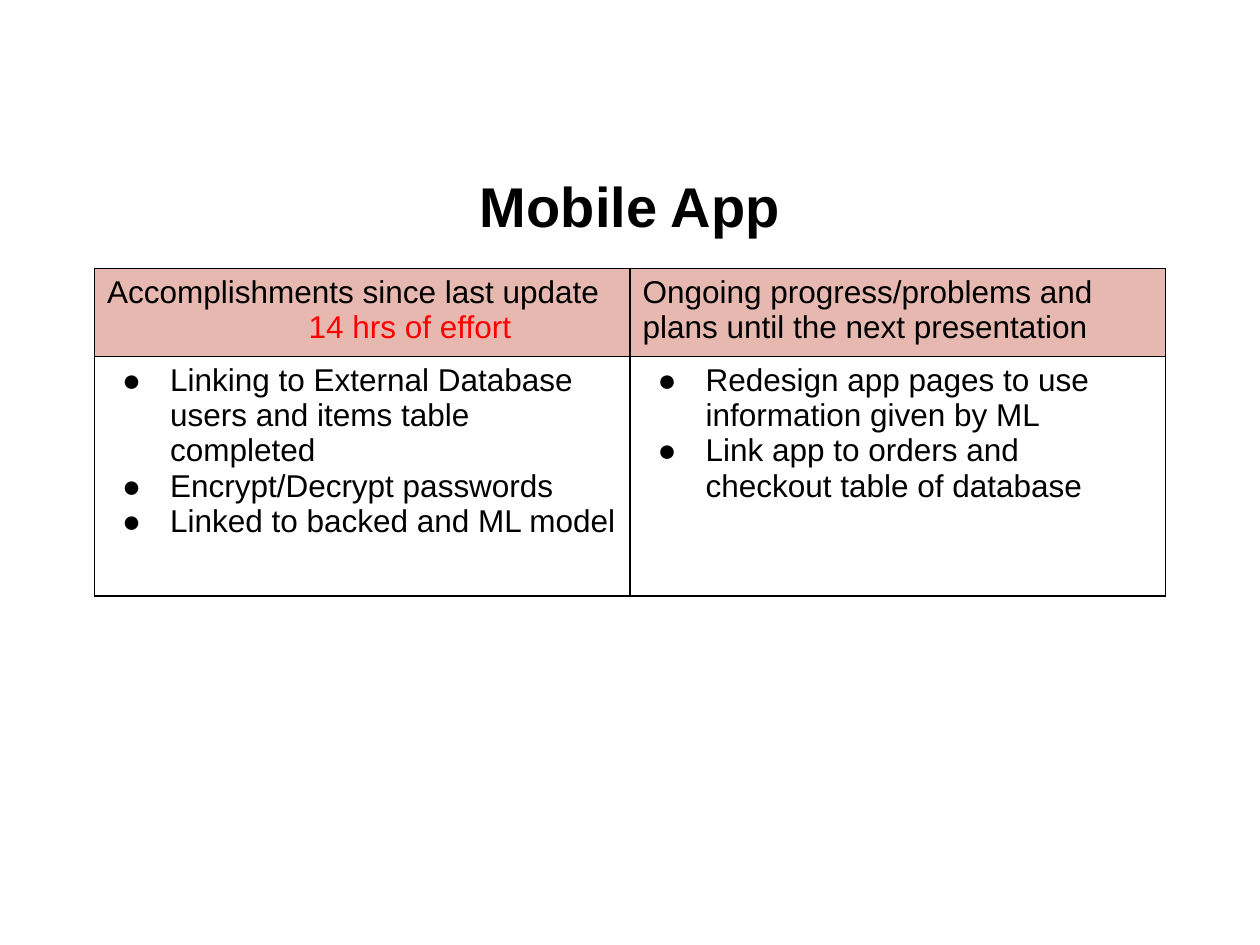
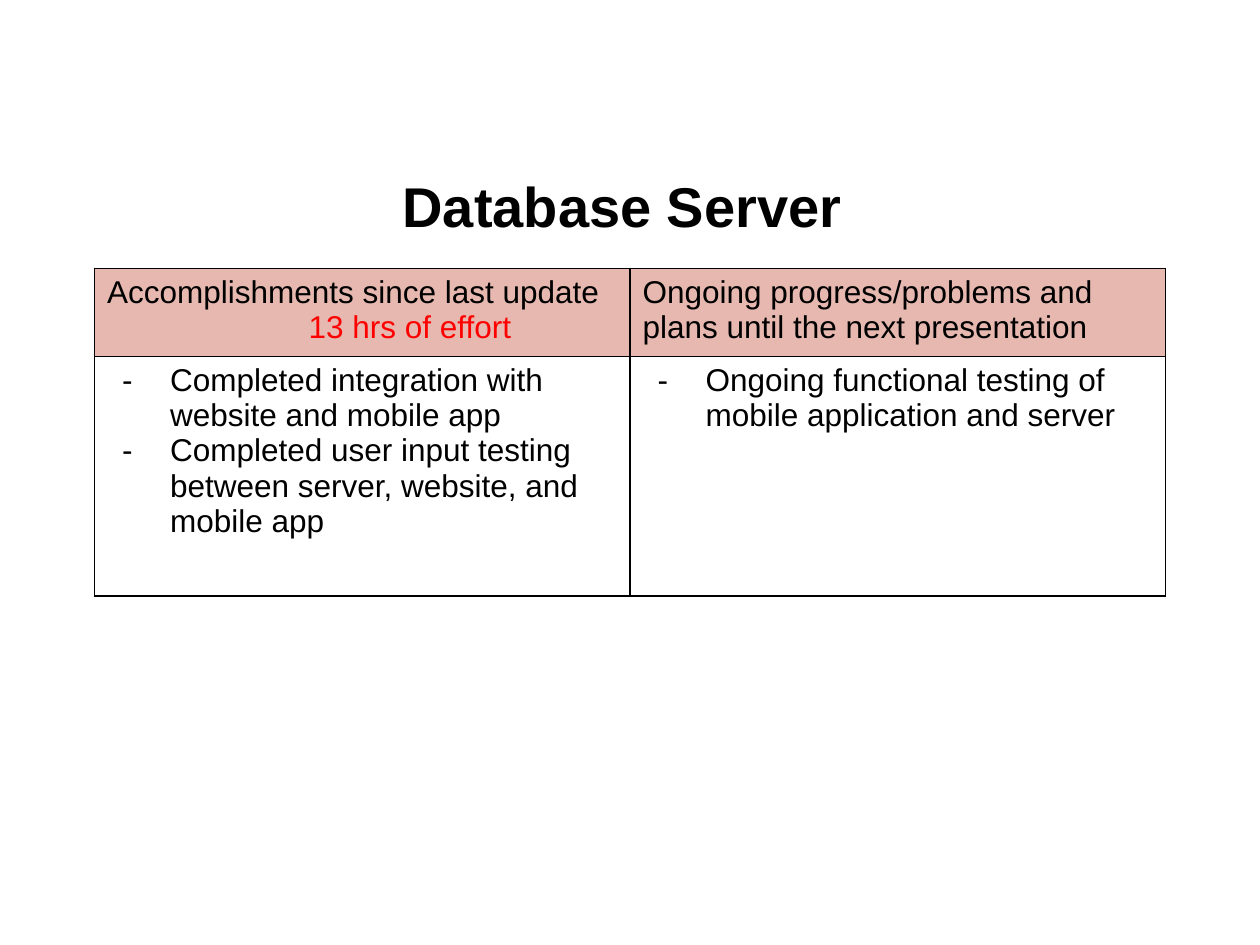
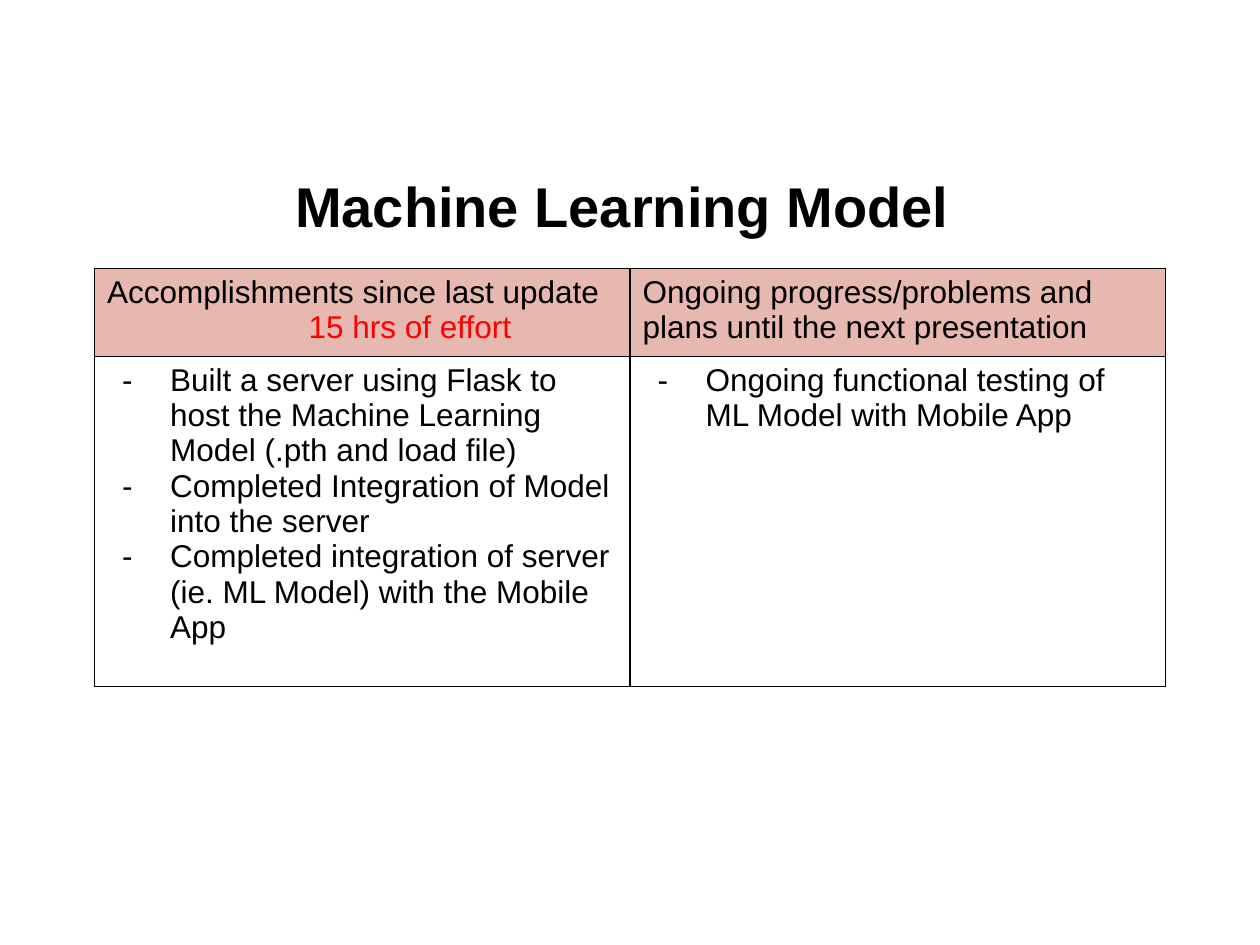
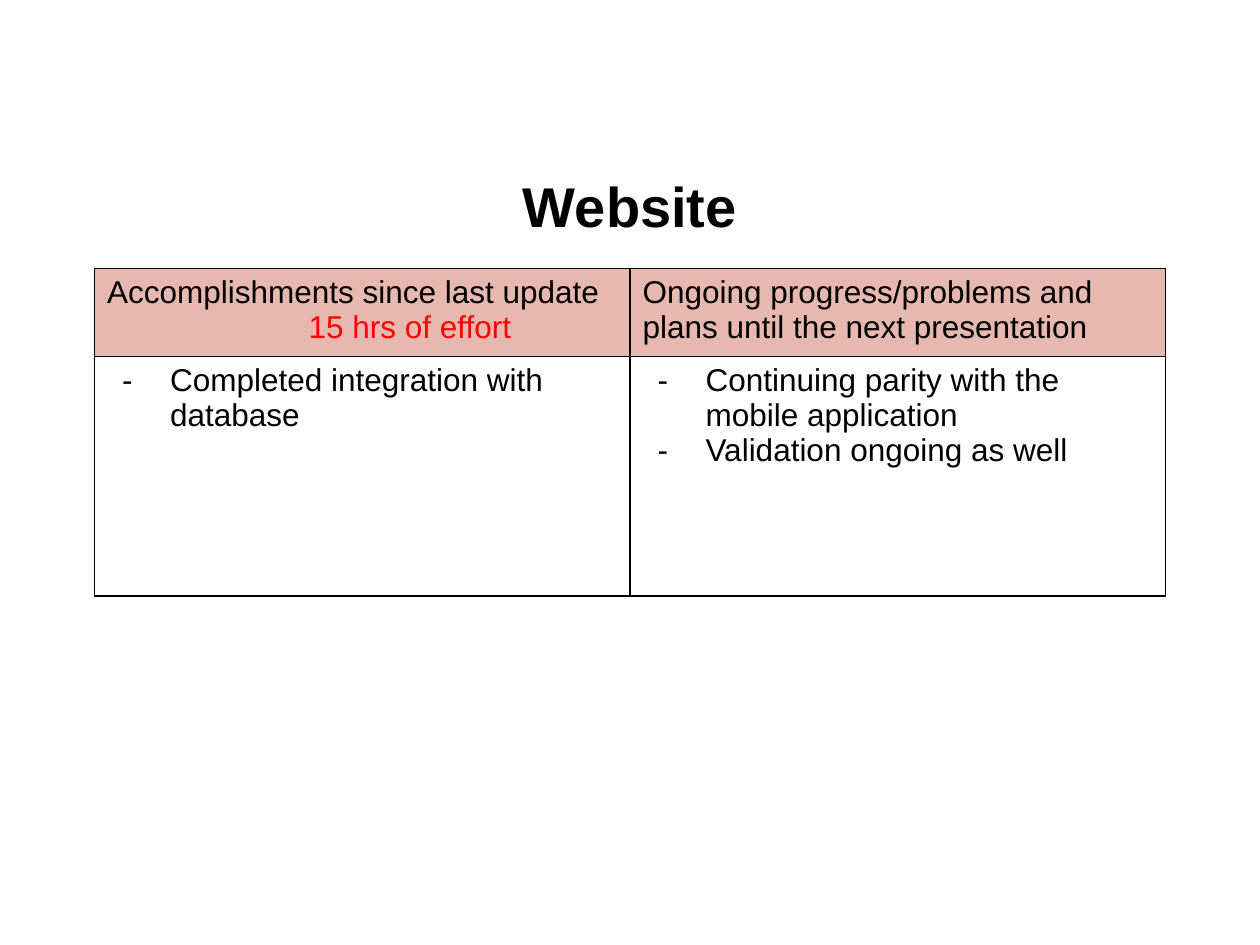
from lxml.etree import SubElement
from pptx import Presentation
from pptx.dml.color import RGBColor
from pptx.enum.text import MSO_ANCHOR, MSO_AUTO_SIZE, PP_ALIGN
from pptx.oxml.ns import qn
from pptx.util import Inches, Pt

# Shared style
FONT = "Arial"
BLACK, RED, HEADER_FILL = "000000", "FF0000", "E6B8AF"
TITLE_BOX = (0.5, 1.15, 9, 0.88)
TABLE_LEFT, TABLE_TOP = 0.75, 2.13
COL_W, HEADER_H, BODY_H = 4.25, 0.7, 1.9
DONE_HEADING = "Accomplishments since last update"
PLANS_HEADING = "Ongoing progress/problems and plans until the next presentation"

# Title, hours, bullet, body height, accomplishments, plans
UPDATES = [
    ("Mobile App", 14, "●", BODY_H,
     ["Linking to External Database users and items table completed",
      "Encrypt/Decrypt passwords",
      "Linked to backed and ML model"],
     ["Redesign app pages to use information given by ML",
      "Link app to orders and checkout table of database"]),
    ("Database Server ", 13, "-", BODY_H,
     ["Completed integration with website and mobile app",
      "Completed user input testing between server, website, and mobile app"],
     ["Ongoing functional testing of mobile application and server"]),
    ("Machine Learning Model ", 15, "-", 2.62,
     ["Built a server using Flask to host the Machine Learning Model (.pth and load file)",
      "Completed Integration of Model into the server",
      "Completed integration of server (ie. ML Model) with the Mobile App"],
     ["Ongoing functional testing of ML Model with Mobile App"]),
    ("Website", 15, "-", BODY_H,
     ["Completed integration with database"],
     ["Continuing parity with the mobile application",
      "Validation ongoing as well"]),
]


def rgb(color):
    return RGBColor.from_string(color)


def style(p, size, color=BLACK, bold=False):
    for r in p.runs:
        r.font.name = FONT
        r.font.size = Pt(size)
        r.font.bold = bold
        r.font.color.rgb = rgb(color)


def solid(parent, tag, color):
    """Add a child element holding a plain colour."""
    SubElement(SubElement(parent, qn(tag)), qn("a:srgbClr"), val=color)


def indent(p, left, first=0):
    pPr = p._p.get_or_add_pPr()
    pPr.set("marL", str(Inches(left)))
    pPr.set("indent", str(Inches(first)))
    return pPr


def add_bullet(p, char):
    pPr = indent(p, 0.5, -0.38)
    solid(pPr, "a:buClr", BLACK)
    SubElement(pPr, qn("a:buFont"), typeface=FONT)
    SubElement(pPr, qn("a:buChar"), char=char)


def add_borders(cell):
    tcPr = cell._tc.get_or_add_tcPr()
    for side in ("a:lnL", "a:lnR", "a:lnT", "a:lnB"):
        ln = SubElement(tcPr, qn(side), w=str(Pt(1)))
        solid(ln, "a:solidFill", BLACK)


def fill_cell(cell, lines, fill=None, bullet=None):
    add_borders(cell)
    if fill:
        cell.fill.solid()
        cell.fill.fore_color.rgb = rgb(fill)
    else:
        cell.fill.background()
    cell.text_frame.text = "\n".join(lines)
    for p in cell.text_frame.paragraphs:
        style(p, 18)
        if bullet:
            add_bullet(p, bullet)


def set_title(s, text):
    sp = s.shapes.title
    sp.left, sp.top, sp.width, sp.height = map(Inches, TITLE_BOX)
    tf = sp.text_frame
    tf.text = text
    tf.auto_size = MSO_AUTO_SIZE.NONE
    tf.vertical_anchor = MSO_ANCHOR.MIDDLE
    p = tf.paragraphs[0]
    p.alignment = PP_ALIGN.CENTER
    p.line_spacing = 1.15
    style(p, 32, bold=True)


def add_update_table(s, hours, bullet, body_h, done, plans):
    frame = s.shapes.add_table(2, 2, Inches(TABLE_LEFT), Inches(TABLE_TOP),
                               Inches(2 * COL_W), Inches(HEADER_H + body_h))
    table = frame.table
    table.first_row = table.horz_banding = False
    for col in table.columns:
        col.width = Inches(COL_W)
    for row, height in zip(table.rows, (HEADER_H, body_h)):
        row.height = Inches(height)

    # Header row, with the hours in red on their own line
    done_cell = table.cell(0, 0)
    fill_cell(done_cell, [DONE_HEADING, f"{hours} hrs of effort"], HEADER_FILL)
    effort = done_cell.text_frame.paragraphs[1]
    indent(effort, 1.6)
    style(effort, 18, RED)
    fill_cell(table.cell(0, 1), [PLANS_HEADING], HEADER_FILL)

    # Bulleted body row
    for col, items in enumerate((done, plans)):
        fill_cell(table.cell(1, col), items, bullet=bullet)


def main():
    prs = Presentation()
    prs.slide_width, prs.slide_height = Inches(10), Inches(7.5)
    for title, *update in UPDATES:
        s = prs.slides.add_slide(prs.slide_layouts[5])
        set_title(s, title)
        add_update_table(s, *update)
    prs.save("out.pptx")


if __name__ == "__main__":
    main()
